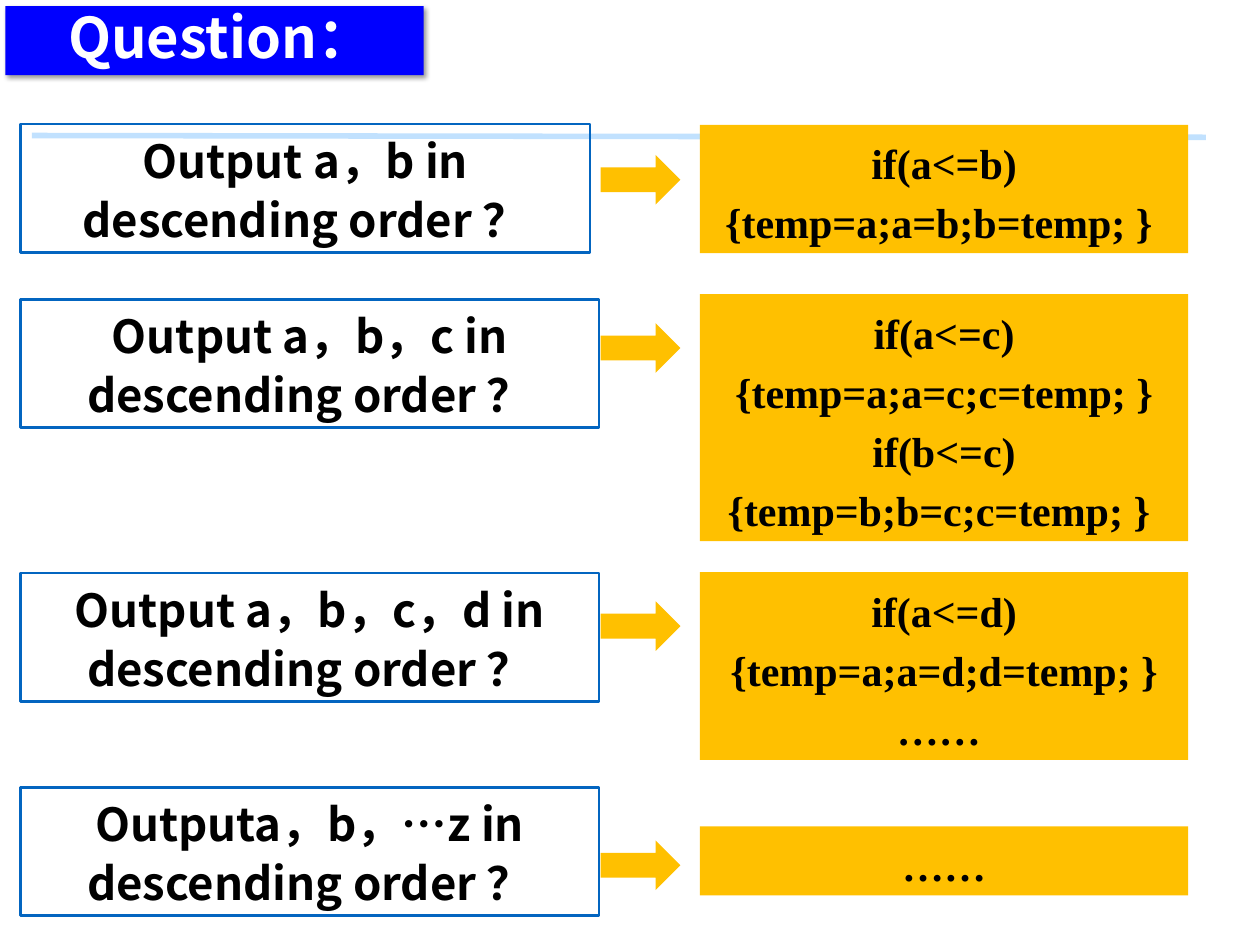
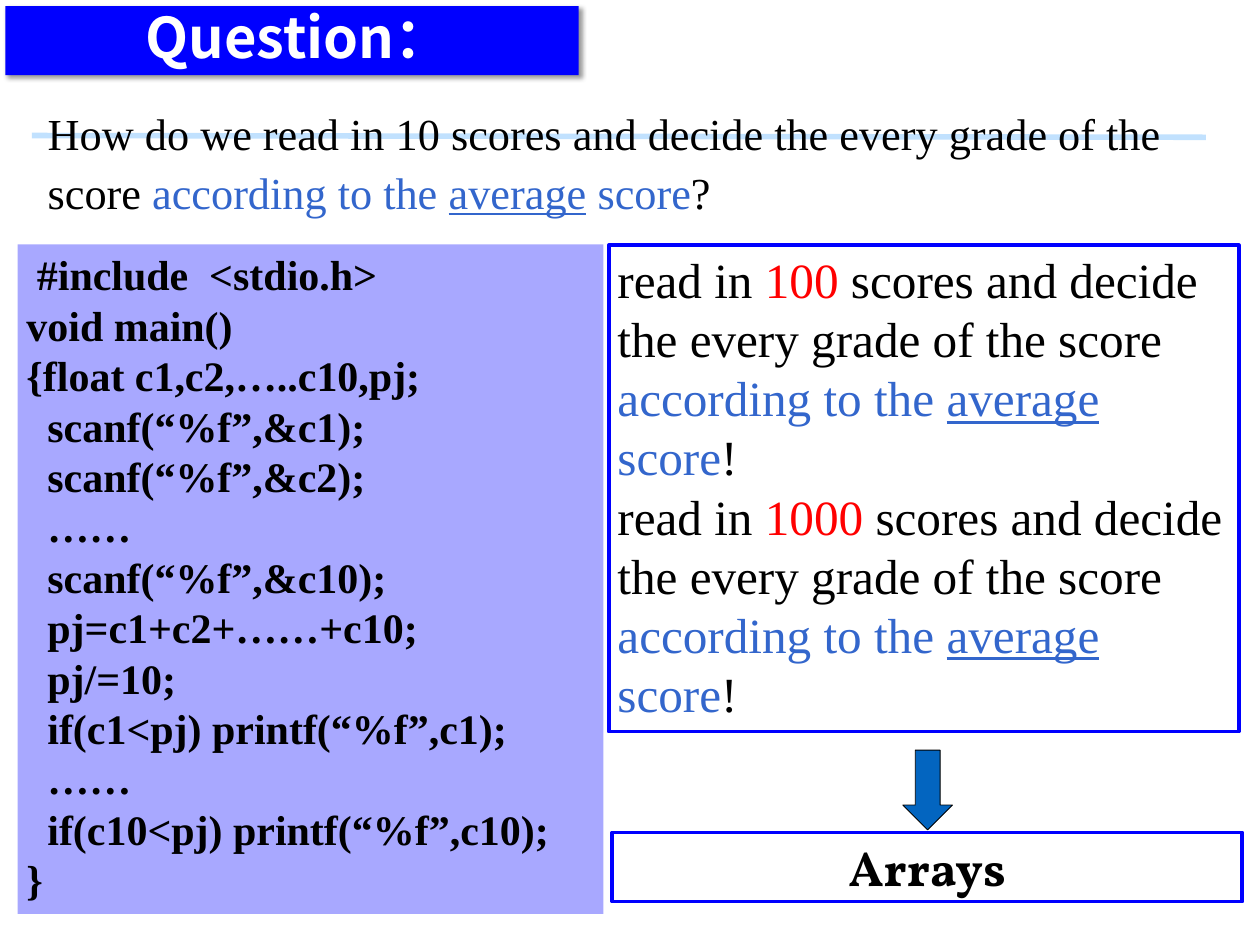
from lxml.etree import SubElement
from pptx import Presentation
from pptx.dml.color import RGBColor
from pptx.enum.shapes import MSO_CONNECTOR as Connector, MSO_SHAPE as Preset
from pptx.enum.text import MSO_ANCHOR as Anchor, MSO_AUTO_SIZE as AutoSize, PP_ALIGN as Align
from pptx.oxml.ns import qn
from pptx.util import Inches, Pt

# Shared look
COLOURS = {
    "black": "000000", "white": "FFFFFF", "banner": "0000FF", "rule": "C1E1FE",
    "outline": "0365C0", "answer": "FFC000", "accent": "3366CC", "number": "FF0000",
}
SANS, SERIF, DISPLAY = "Noto Sans CJK SC", "Times New Roman", "Vollkorn"
WIDTH, HEIGHT = 14.22, 10.67
LINE_HEIGHT, PADDING = 0.67, 0.11

# Columns of the question slide
QUESTION_X, ARROW_X, ANSWER_X = 0.23, 6.78, 7.9
ANSWER_W, ARROW_LONG, ARROW_WIDE = 5.51, 0.9, 0.56

# Question, its top and width; answer lines, their top; drop of the arrow
QUESTIONS = [
    ("Output a，b in descending order ？", 1.4, 6.43,
     [" if(a<=b) ", "{temp=a;a=b;b=temp; } "], 1.41, 0.34),
    ("Output a，b，c in descending order ？", 3.38, 6.53,
     [" if(a<=c) ", "{temp=a;a=c;c=temp; }", " if(b<=c) ", "{temp=b;b=c;c=temp; } "], 3.32, 0.33),
    ("Output a，b，c，d in descending order ？", 6.47, 6.53,
     [" if(a<=d) ", "{temp=a;a=d;d=temp; }", "…… "], 6.46, 0.33),
    ("Outputa，b，…z in descending order ？", 8.89, 6.53, ["……"], 9.33, 0.16),
]

PROGRAM = """ #include  <stdio.h>
void main()
{float c1,c2,…..c10,pj;
  scanf(“%f”,&c1);
  scanf(“%f”,&c2);
  ……
  scanf(“%f”,&c10);
  pj=c1+c2+……+c10;
  pj/=10;
  if(c1<pj) printf(“%f”,c1);
  ……
  if(c10<pj) printf(“%f”,c10);
}""".split("\n")

# Runs are (text, colour, underlined)
BY_AVERAGE = [("according to the ", "accent", False), ("average", "accent", True),
              (" score", "accent", False)]


def box_height(lines):
    return PADDING + LINE_HEIGHT * lines


def colour(name):
    return RGBColor.from_string(COLOURS[name])


def place(shape, left, top, width, height):
    shape.left, shape.top = Inches(left), Inches(top)
    shape.width, shape.height = Inches(width), Inches(height)


def write(shape, paragraphs, font, size, ink="black", bold=True,
          align=Align.CENTER, spacing=48, hanging=0):
    """Each paragraph is a string or a list of runs."""
    frame = shape.text_frame
    frame.word_wrap, frame.auto_size = True, AutoSize.NONE
    frame.vertical_anchor = Anchor.TOP
    for number, content in enumerate(paragraphs):
        paragraph = frame.add_paragraph() if number else frame.paragraphs[0]
        paragraph.alignment, paragraph.line_spacing = align, Pt(spacing)
        if hanging:
            properties = paragraph._p.get_or_add_pPr()
            properties.set("marL", str(Inches(hanging)))
            properties.set("indent", str(-Inches(hanging)))
        runs = [(content, ink, False)] if isinstance(content, str) else content
        for text, run_ink, underlined in runs:
            run = paragraph.add_run()
            run.text = text
            run.font.size, run.font.bold, run.font.name = Pt(size), bold, font
            run.font.color.rgb = colour(run_ink)
            if underlined:
                run.font.underline = True
            SubElement(run._r.get_or_add_rPr(), qn("a:ea")).set("typeface", font)


def add_block(slide, left, top, width, height, fill=None, line=None,
              weight=2.25, preset=Preset.RECTANGLE):
    block = slide.shapes.add_shape(preset, 0, 0, 0, 0)
    place(block, left, top, width, height)
    block.shadow.inherit = False
    if fill:
        block.fill.solid()
        block.fill.fore_color.rgb = colour(fill)
    else:
        block.fill.background()
    if line:
        block.line.color.rgb, block.line.width = colour(line), Pt(weight)
    else:
        block.line.fill.background()
    return block


def add_alpha(colour_element, percent):
    SubElement(colour_element, qn("a:alpha")).set("val", str(percent * 1000))


def cast_shadow(shape):
    shape.shadow.inherit = False
    effects = shape.element.spPr.find(qn("a:effectLst"))
    shadow = SubElement(effects, qn("a:outerShdw"), blurRad=str(Pt(4)), dist=str(Pt(3)),
                        dir=str(45 * 60000), algn="tl", rotWithShape="0")
    add_alpha(SubElement(shadow, qn("a:srgbClr"), val=COLOURS["black"]), 40)


def add_titled_slide(deck, banner_width):
    """Slide with the pale rule and the blue title banner."""
    slide = deck.slides.add_slide(deck.slide_layouts[5])
    rule = slide.shapes.add_connector(Connector.STRAIGHT, Inches(0.36), Inches(1.53),
                                      Inches(13.61), Inches(1.55))
    rule.line.color.rgb, rule.line.width = colour("rule"), Pt(4.5)
    SubElement(rule.element.spPr, qn("a:effectLst"))
    banner = slide.shapes.title
    place(banner, 0.06, 0.07, banner_width, box_height(1))
    banner.fill.solid()
    banner.fill.fore_color.rgb = colour("banner")
    cast_shadow(banner)
    write(banner, [" Question："], SANS, 45.5, "white")
    return slide


def build_ordering(deck):
    slide = add_titled_slide(deck, 4.72)
    for question, top, width, answer, answer_top, drop in QUESTIONS:
        asked = add_block(slide, QUESTION_X, top, width, box_height(2), line="outline")
        write(asked, [question], SANS, 37)
        answered = add_block(slide, ANSWER_X, answer_top, ANSWER_W,
                             box_height(len(answer)), "answer")
        write(answered, answer, SERIF, 34.1)
        add_block(slide, ARROW_X, answer_top + drop, ARROW_LONG, ARROW_WIDE, "answer",
                  preset=Preset.RIGHT_ARROW)


def build_scores(deck):
    slide = add_titled_slide(deck, 6.47)

    # Task statement
    task = slide.shapes.add_textbox(0, 0, 0, 0)
    place(task, 0.44, 1.08, 13.44, box_height(2))
    write(task, [[("How do we read in 10 scores and decide the every grade of the score ",
                   "black", False), *BY_AVERAGE, ("?", "black", False)]],
          SERIF, 36, bold=False, align=Align.LEFT)

    # Program for ten scores
    program = add_block(slide, 0.2, 2.76, 6.61, 7.56, "banner")
    add_alpha(program.element.spPr.find(qn("a:solidFill"))[0], 34)
    write(program, PROGRAM, SERIF, 34.1, align=Align.JUSTIFY, spacing=41, hanging=0.71)

    # Larger inputs lead to arrays
    larger = add_block(slide, 6.87, 2.77, 7.11, 5.49, line="banner", weight=3)
    write(larger, [[("read in ", "black", False), (count, "number", False),
                    (" scores and decide the every grade of the score ", "black", False),
                    *BY_AVERAGE, ("!", "black", False)] for count in ("100", "1000")],
          SERIF, 40, bold=False, align=Align.LEFT)
    arrays = add_block(slide, 6.91, 9.4, 7.11, box_height(1), line="banner", weight=3)
    write(arrays, ["Arrays"], DISPLAY, 40)
    add_block(slide, 10.19, 8.47, ARROW_WIDE, ARROW_LONG, "outline", "black", 0.75,
              Preset.DOWN_ARROW)


def main():
    deck = Presentation()
    deck.slide_width, deck.slide_height = Inches(WIDTH), Inches(HEIGHT)
    build_ordering(deck)
    build_scores(deck)
    deck.save("out.pptx")


if __name__ == "__main__":
    main()
